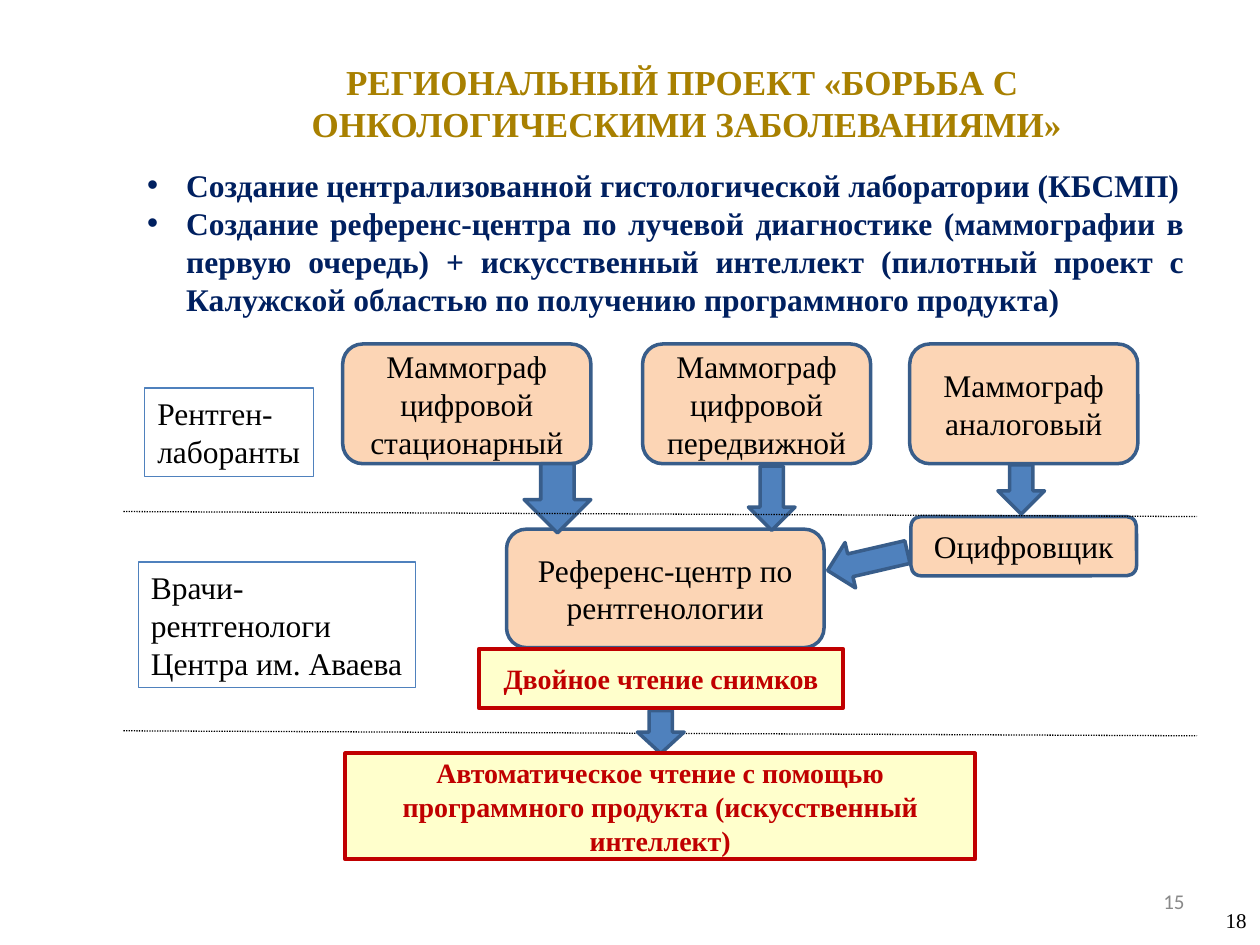
from lxml.etree import SubElement as Sub
from pptx import Presentation
from pptx.dml.color import RGBColor
from pptx.enum.dml import MSO_LINE
from pptx.enum.shapes import MSO_CONNECTOR, MSO_SHAPE as Kind
from pptx.enum.text import MSO_ANCHOR as Anchor, MSO_AUTO_SIZE as Fit, PP_ALIGN as Align
from pptx.oxml.ns import qn
from pptx.util import Inches, Pt

GOLD = RGBColor(0xA8, 0x80, 0x00)
NAVY = RGBColor(0x00, 0x20, 0x60)
PEACH = RGBColor(0xFC, 0xD5, 0xB5)
CREAM = RGBColor(0xFF, 0xFF, 0xCC)
RED = RGBColor(0xC0, 0x00, 0x00)
BLUE = RGBColor(0x4F, 0x81, 0xBD)
EDGE = RGBColor(0x38, 0x5D, 0x8A)
GREY = RGBColor(0x89, 0x89, 0x89)
BLACK = RGBColor(0, 0, 0)
SERIF = "Times New Roman"


def write(shape, lines, size=18, color=BLACK, bold=False, face=SERIF,
          align=Align.LEFT, **frame):
    """Fill a shape with one paragraph per line; frame holds text frame settings."""
    body = shape.text_frame
    body.word_wrap = True
    for key, value in frame.items():
        setattr(body, key, value)
    body.text = "\n".join(lines)
    look = {"size": Pt(size), "bold": bold, "name": face}
    for para in body.paragraphs:
        para.alignment = align
        for run in para.runs:
            run.font.color.rgb = color
            for key, value in look.items():
                setattr(run.font, key, value)


def draw(kind, place, fill, edge, width):
    shape = slide.shapes.add_shape(kind, *map(Inches, place))
    shape.shadow.inherit = False
    shape.fill.solid()
    shape.fill.fore_color.rgb = fill
    shape.line.color.rgb = edge
    shape.line.width = Pt(width)
    return shape


deck = Presentation()
deck.slide_width, deck.slide_height = Inches(10), Inches(7.5)
slide = deck.slides.add_slide(deck.slide_layouts[5])

# Title and goals
title = slide.shapes.title
title.left, title.top, title.width, title.height = map(Inches, (0.9, 0.44, 9.1, 0.68))
write(title, ["РЕГИОНАЛЬНЫЙ ПРОЕКТ «БОРЬБА С ", "ОНКОЛОГИЧЕСКИМИ ЗАБОЛЕВАНИЯМИ»"],
      20, GOLD, True, align=Align.CENTER, vertical_anchor=Anchor.TOP,
      auto_size=Fit.NONE, margin_top=Inches(0.04), margin_bottom=Inches(0.04),
      margin_left=Inches(0.07), margin_right=Inches(0.07))

goals = slide.shapes.add_textbox(*map(Inches, (1.07, 1.27, 8.43, 1.3)))
write(goals, [
    "Создание централизованной гистологической лаборатории (КБСМП)",
    "Создание референс-центра по лучевой диагностике (маммографии в первую очередь) "
    "+ искусственный интеллект (пилотный проект с Калужской областью по получению "
    "программного продукта)",
], 18, NAVY, True, align=Align.JUSTIFY)
for para in goals.text_frame.paragraphs:
    props = para._p.get_or_add_pPr()
    props.set("marL", str(Inches(0.31)))
    props.set("indent", str(-Inches(0.31)))
    Sub(Sub(props, qn("a:buClr")), qn("a:srgbClr"), val=str(NAVY))
    Sub(props, qn("a:buFont"), typeface="Arial")
    Sub(props, qn("a:buChar"), char="•")

# Devices and the reading centre
steps = [
    ((2.72, 2.73, 1.97, 0.95), ["Маммограф цифровой", "стационарный"]),
    ((5.1, 2.73, 1.81, 0.95), ["Маммограф цифровой", "передвижной"]),
    ((7.22, 2.73, 1.81, 0.95), ["Маммограф аналоговый"]),
    ((7.23, 4.1, 1.79, 0.47), ["Оцифровщик"]),
    ((4.02, 4.2, 2.52, 0.94), ["Референс-центр по рентгенологии"]),
]
for place, lines in steps:
    box = draw(Kind.ROUNDED_RECTANGLE, place, PEACH, EDGE, 2)
    write(box, lines, align=Align.CENTER, vertical_anchor=Anchor.MIDDLE)

flows = [
    ((4.16, 3.68, 0.53, 0.55), 0),
    ((5.94, 3.7, 0.37, 0.51), 0),
    ((7.92, 3.69, 0.37, 0.39), 0),
    ((6.7, 4.13, 0.37, 0.65), 77),
]
for place, turn in flows:
    draw(Kind.DOWN_ARROW, place, BLUE, EDGE, 2).rotation = turn

# Borders between the levels
for top in (4.06, 5.8):
    rule = slide.shapes.add_connector(
        MSO_CONNECTOR.STRAIGHT, *map(Inches, (0.98, top, 9.5, top + 0.04)))
    rule.line.color.rgb = BLACK
    rule.line.width = Pt(0.75)
    rule.line.dash_style = MSO_LINE.ROUND_DOT
    Sub(rule._element.spPr, qn("a:effectLst"))

draw(Kind.DOWN_ARROW, (5.06, 5.64, 0.37, 0.34), BLUE, EDGE, 2)

readings = [
    ((3.8, 5.15, 2.89, 0.47), "Двойное чтение снимков"),
    ((2.74, 5.98, 5, 0.84),
     "Автоматическое чтение с помощью программного продукта (искусственный интеллект)"),
]
for place, line in readings:
    box = draw(Kind.RECTANGLE, place, CREAM, RED, 2.25)
    write(box, [line], 16, RED, True, align=Align.CENTER, vertical_anchor=Anchor.MIDDLE)

# Staff at each level; the narrow right margin keeps each line whole
staff = [
    ((1.15, 3.08, 1.34, 0.7), ["Рентген-", "лаборанты"]),
    ((1.1, 4.46, 2.2, 1), ["Врачи-", "рентгенологи", "Центра им. Аваева"]),
]
for place, lines in staff:
    box = slide.shapes.add_textbox(*map(Inches, place))
    box.line.color.rgb = BLUE
    box.line.width = Pt(0.75)
    write(box, lines, auto_size=Fit.NONE, margin_right=Inches(0.02))

# Page numbers
inner = slide.shapes.add_textbox(*map(Inches, (7.17, 6.95, 2.33, 0.4)))
write(inner, ["15"], 12, GREY, face="Calibri", align=Align.RIGHT,
      vertical_anchor=Anchor.MIDDLE)
outer = slide.shapes.add_textbox(*map(Inches, (9.63, 7.15, 0.47, 0.3)))
write(outer, ["18"], 12)

deck.save("out.pptx")
